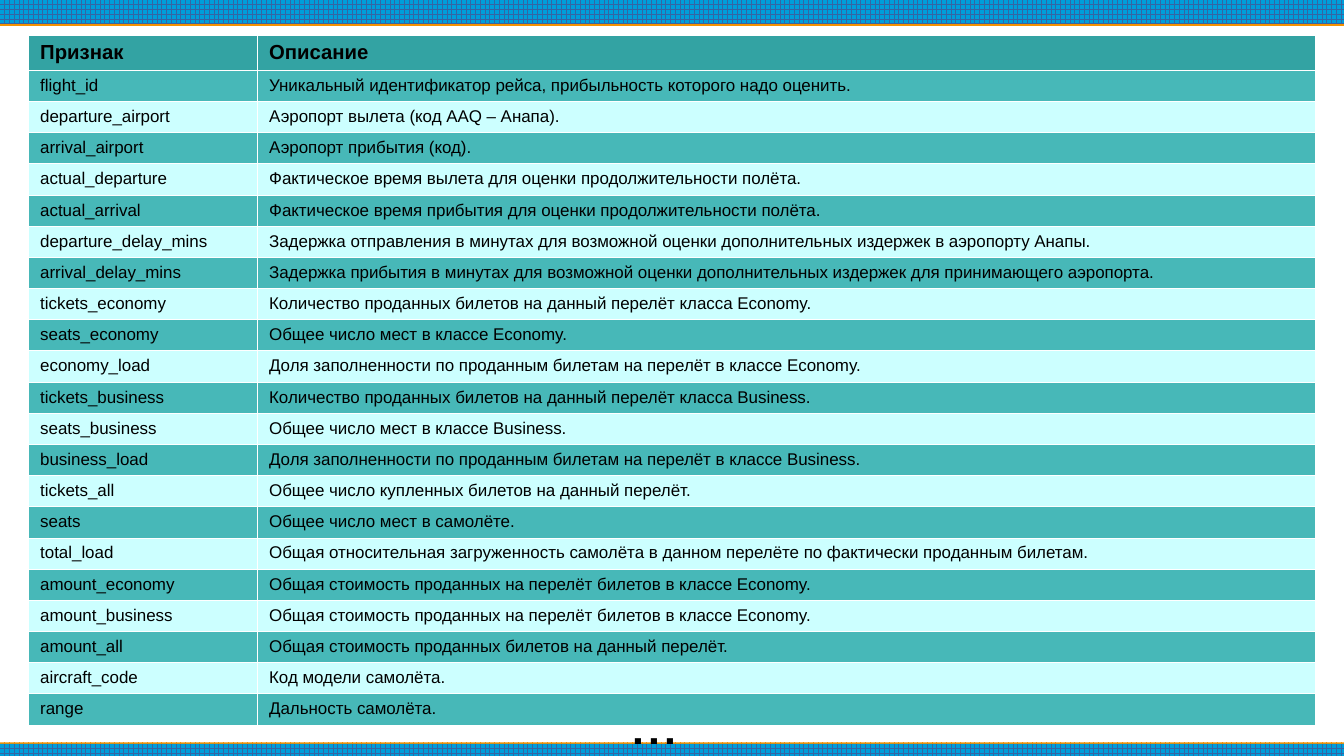
import pptx
import pptx.util
import pptx.dml.color
import pptx.enum.dml
import pptx.enum.shapes
import pptx.enum.text
import pptx.oxml
import pptx.oxml.ns
from dataclasses import dataclass

HEADER = ("Признак", "Описание")
FEATURES = [
    ("flight_id", "Уникальный идентификатор рейса, прибыльность которого надо оценить."),
    ("departure_airport", "Аэропорт вылета (код AAQ – Анапа)."),
    ("arrival_airport", "Аэропорт прибытия (код)."),
    ("actual_departure", "Фактическое время вылета для оценки продолжительности полёта."),
    ("actual_arrival", "Фактическое время прибытия для оценки продолжительности полёта."),
    ("departure_delay_mins", "Задержка отправления в минутах для возможной оценки дополнительных издержек в аэропорту Анапы."),
    ("arrival_delay_mins", "Задержка прибытия в минутах для возможной оценки дополнительных издержек для принимающего аэропорта."),
    ("tickets_economy", "Количество проданных билетов на данный перелёт класса Economy."),
    ("seats_economy", "Общее число мест в классе Economy."),
    ("economy_load", "Доля заполненности по проданным билетам на перелёт в классе Economy."),
    ("tickets_business", "Количество проданных билетов на данный перелёт класса Business."),
    ("seats_business", "Общее число мест в классе Business."),
    ("business_load", "Доля заполненности по проданным билетам на перелёт в классе Business."),
    ("tickets_all", "Общее число купленных билетов на данный перелёт."),
    ("seats", "Общее число мест в самолёте."),
    ("total_load", "Общая относительная загруженность самолёта в данном перелёте по фактически проданным билетам."),
    ("amount_economy", "Общая стоимость проданных на перелёт билетов в классе Economy."),
    ("amount_business", "Общая стоимость проданных на перелёт билетов в классе Economy."),
    ("amount_all", "Общая стоимость проданных билетов на данный перелёт."),
    ("aircraft_code", "Код модели самолёта."),
    ("range", "Дальность самолёта."),
]
MORE = "…"


@dataclass(frozen=True)
class Theme:
    font: str = "Arial"
    more_font: str = "Cabin"
    text: str = "000000"
    header: str = "33A3A3"
    bands: tuple = ("47B8B8", "CCFFFF")
    border: str = "FFFFFF"
    border_width: float = 0.06
    grid: str = "3465A4"
    bar: str = "009EDA"
    glow: str = "F49100"
    glow_distance: float = 0.9
    header_size: int = 12
    body_size: int = 10
    more_size: int = 40


THEME = Theme()
WIDTH, HEIGHT = 1344, 756
BARS = [(0, 24, 90), (744, 12, 270)]
TABLE = (28, 35, 1287, 689)
NAME_WIDTH, HEADER_HEIGHT = 229, 34
MORE_BOX = (627, 673, 92, 89)


def px(length):
    return pptx.util.Emu(round(length * 914400 / 122))


def color(value):
    return pptx.dml.color.RGBColor.from_string(value)


def write(frame, text, size, font=THEME.font, bold=False):
    span = frame.paragraphs[0].add_run()
    span.text = text
    span.font.name = font
    span.font.size = pptx.util.Pt(size)
    span.font.bold = bold
    span.font.color.rgb = color(THEME.text)


def add_bar(page, top, height, direction):
    bar = page.shapes.add_shape(
        pptx.enum.shapes.MSO_SHAPE.RECTANGLE, 0, px(top), px(WIDTH), px(height))
    bar.line.fill.background()
    bar.fill.patterned()
    bar.fill.pattern = pptx.enum.dml.MSO_PATTERN.LARGE_GRID
    bar.fill.fore_color.rgb = color(THEME.grid)
    bar.fill.back_color.rgb = color(THEME.bar)
    bar.shadow.inherit = False
    effects = bar.element.spPr.find(pptx.oxml.ns.qn("a:effectLst"))
    effects.append(pptx.oxml.parse_xml(
        f'<a:outerShdw {pptx.oxml.ns.nsdecls("a")} blurRad="0" '
        f'dist="{pptx.util.Pt(THEME.glow_distance)}" dir="{direction * 60000}" '
        f'algn="ctr" rotWithShape="0"><a:srgbClr val="{THEME.glow}"/></a:outerShdw>'))


def add_borders(cell):
    properties = cell._tc.get_or_add_tcPr()
    for index, side in enumerate(("lnL", "lnR", "lnT", "lnB")):
        properties.insert(index, pptx.oxml.parse_xml(
            f'<a:{side} {pptx.oxml.ns.nsdecls("a")} w="{pptx.util.Pt(THEME.border_width)}">'
            f'<a:solidFill><a:srgbClr val="{THEME.border}"/></a:solidFill></a:{side}>'))


def add_feature_table(page):
    left, top, width, height = TABLE
    rows = [HEADER] + FEATURES
    table = page.shapes.add_table(
        len(rows), len(HEADER), px(left), px(top), px(width), px(height)).table
    table.columns[0].width = px(NAME_WIDTH)
    table.columns[1].width = px(width - NAME_WIDTH)
    feature_height = (height - HEADER_HEIGHT) / len(FEATURES)
    for index, texts in enumerate(rows):
        is_header = index == 0
        table.rows[index].height = px(HEADER_HEIGHT if is_header else feature_height)
        fill = THEME.header if is_header else THEME.bands[(index - 1) % 2]
        size = THEME.header_size if is_header else THEME.body_size
        for cell, text in zip(table.rows[index].cells, texts):
            cell.fill.solid()
            cell.fill.fore_color.rgb = color(fill)
            add_borders(cell)
            write(cell.text_frame, text, size, bold=is_header)


def add_more(page):
    box = page.shapes.add_textbox(*map(px, MORE_BOX))
    frame = box.text_frame
    frame.word_wrap = True
    frame.vertical_anchor = pptx.enum.text.MSO_ANCHOR.MIDDLE
    frame.margin_left = frame.margin_right = px(5)
    frame.margin_top = frame.margin_bottom = px(5)
    write(frame, MORE, THEME.more_size, font=THEME.more_font)


deck = pptx.Presentation()
deck.slide_width, deck.slide_height = px(WIDTH), px(HEIGHT)
page = deck.slides.add_slide(deck.slide_layouts[6])
for bar_place in BARS:
    add_bar(page, *bar_place)
add_feature_table(page)
add_more(page)
deck.save("out.pptx")
